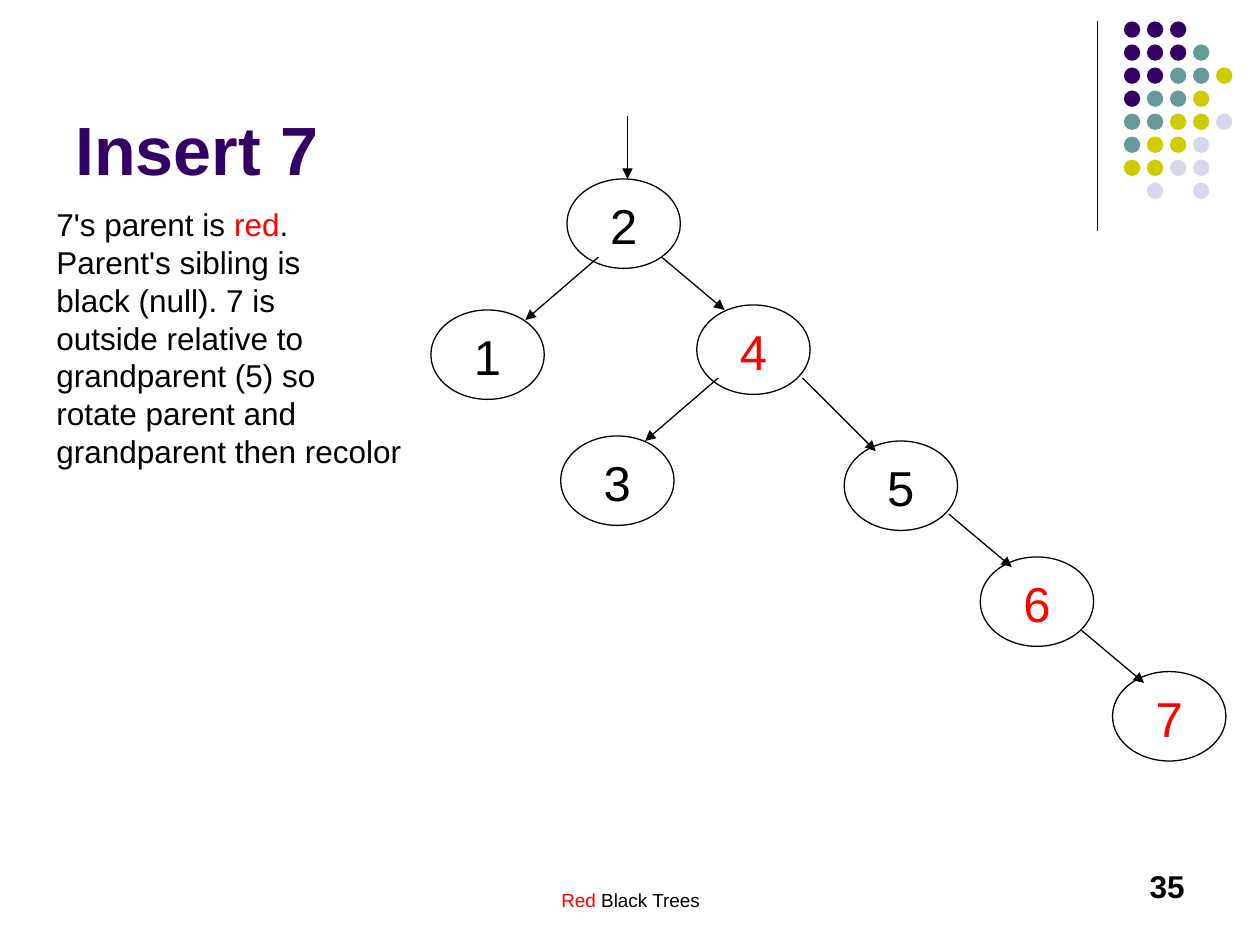
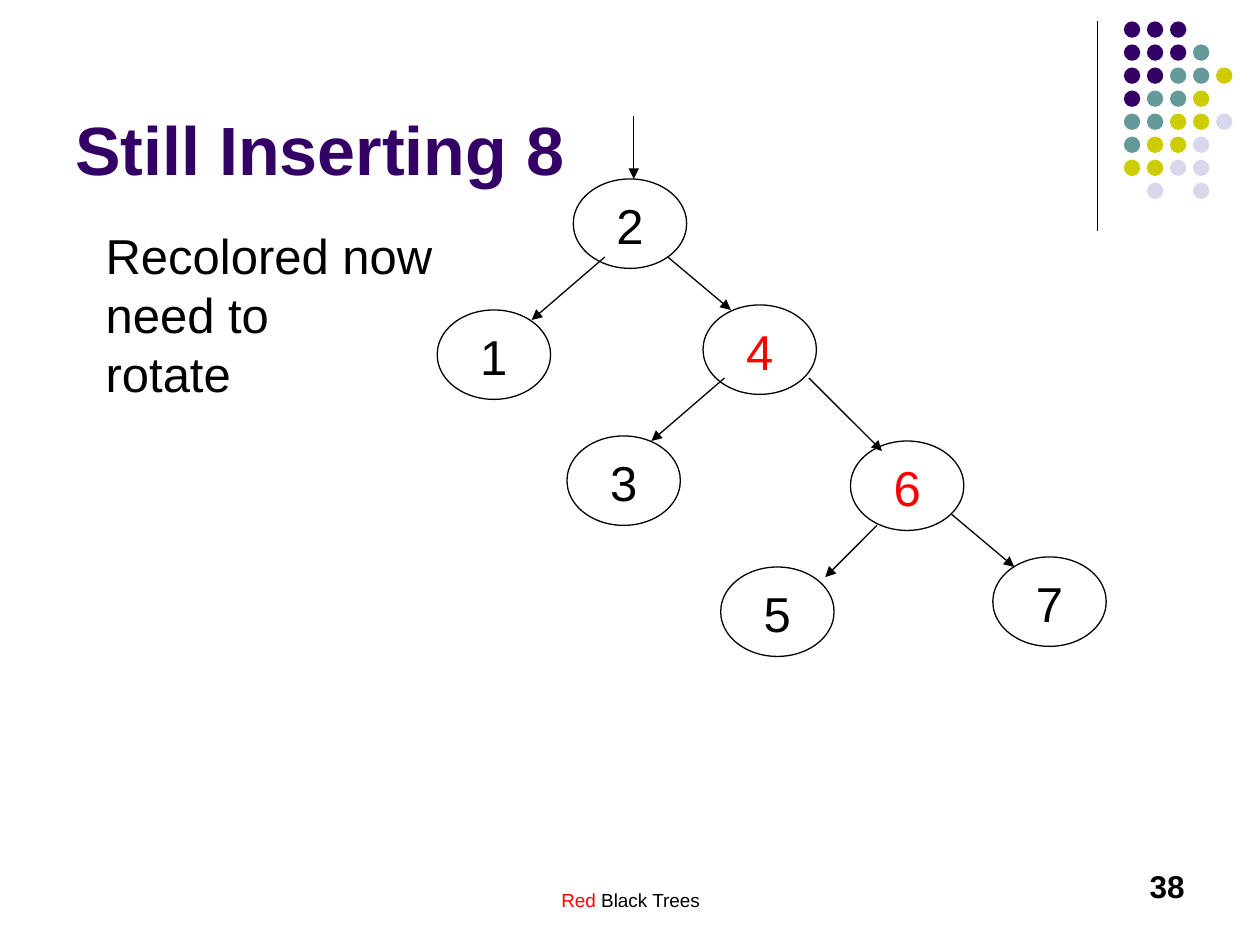
"""Builds two slides on insertion into a red-black tree."""
from pptx import Presentation
from pptx import util as u
from pptx.dml import color
from pptx.enum import shapes, text
from pptx.oxml import ns, xmlchemy

BLACK, RED, PLUM = "000000", "FF0000", "330066"
DOT_HUES = {"p": PLUM, "t": "669999", "y": "CCCC00", "l": "D8D8EC"}
DOT_ROWS = ["ppp", "pppt", "pptty", "ptty", "ttyyl", "tyyl", "yyll", " l l"]
DOT_STEP = 1.28 / 7
LEFT, MID, RIGHT = text.PP_ALIGN.LEFT, text.PP_ALIGN.CENTER, text.PP_ALIGN.RIGHT
INSETS = {"margin_left": 0.1, "margin_right": 0.1, "margin_top": 0.05, "margin_bottom": 0.05}

ROOT = (4.98, 0.92, 4.98, 1.42)
TOP_NODES = [("2", 4.5, 1.42, BLACK), ("1", 3.42, 2.46, BLACK),
             ("4", 5.53, 2.42, RED), ("3", 4.45, 3.46, BLACK)]
TOP_LINKS = [ROOT, (5.25, 2.04, 5.75, 2.46), (4.75, 2.04, 4.17, 2.54),
             (6.37, 3, 6.95, 3.58), (5.7, 3, 5.12, 3.5)]


def rgb(hue):
    """Return the colour for a hex string."""
    return color.RGBColor.from_string(hue)


def apply(item, vals):
    """Set each named value on an item."""
    for name, val in vals.items():
        setattr(item, name, val)


def box(*nums):
    """Turn numbers into lengths in inches."""
    return [u.Inches(num) for num in nums]


def fill_text(frame, runs, size, bold=False, align=LEFT):
    """Write coloured runs into one paragraph, with line breaks."""
    para = frame.paragraphs[0]
    para.alignment = align
    for words, hue in runs:
        for row, line in enumerate(words.splitlines()):
            if row:
                para.add_line_break()
            if line:
                run = para.add_run()
                run.text = line
                apply(run.font, {"size": u.Pt(size), "name": "Arial", "bold": bold})
                run.font.color.rgb = rgb(hue)


def add_text(slide, place, runs, size, bold=False, align=LEFT, **vals):
    """Add a text box with the given frame values."""
    frame = slide.shapes.add_textbox(*box(*place)).text_frame
    apply(frame, {name: u.Inches(val) for name, val in INSETS.items()})
    apply(frame, {"word_wrap": True, **vals})
    fill_text(frame, runs, size, bold, align)


def add_oval(parent, place):
    """Add a plain ellipse without a shadow."""
    oval = parent.add_shape(shapes.MSO_SHAPE.OVAL, *box(*place))
    oval.shadow.inherit = False
    return oval


def add_line(slide, ends, arrow=True):
    """Add a thin black line, with an arrowhead at its end if wanted."""
    line = slide.shapes.add_connector(shapes.MSO_CONNECTOR.STRAIGHT, *box(*ends))
    line.line.width = u.Pt(0.75)
    line.line.color.rgb = rgb(BLACK)
    props = line.element.spPr
    if arrow:
        head = xmlchemy.OxmlElement("a:tailEnd")
        head.set("type", "triangle")
        props.find(ns.qn("a:ln")).append(head)
    props.append(xmlchemy.OxmlElement("a:effectLst"))


def add_node(slide, key, left, top, hue):
    """Add a tree node with its key."""
    oval = add_oval(slide.shapes, (left, top, 0.9, 0.71))
    oval.fill.background()
    oval.line.width = u.Pt(0.75)
    oval.line.color.rgb = rgb(BLACK)
    frame = oval.text_frame
    apply(frame, {name: 0 for name in INSETS})
    apply(frame, {"word_wrap": False, "margin_top": u.Inches(0.02),
                  "vertical_anchor": text.MSO_ANCHOR.MIDDLE})
    fill_text(frame, [(key, hue)], 28, align=MID)


def add_dots(slide):
    """Add the grid of dots in the top right corner."""
    group = slide.shapes.add_group_shape().shapes
    for row, codes in enumerate(DOT_ROWS):
        for col, code in enumerate(codes):
            if code in DOT_HUES:
                place = (8.92 + col * DOT_STEP, 0.17 + row * DOT_STEP, 0.13, 0.13)
                dot = add_oval(group, place)
                dot.fill.solid()
                dot.fill.fore_color.rgb = rgb(DOT_HUES[code])
                dot.line.fill.background()


def add_page(deck, title, number):
    """Add a slide with the shared decoration, footer and title."""
    slide = deck.slides.add_slide(deck.slide_layouts[6])
    add_line(slide, (8.71, 0.17, 8.71, 1.83), arrow=False)
    add_dots(slide)
    add_text(slide, (3.42, 6.83, 3.17, 0.5), [("Red", RED), (" Black Trees", BLACK)],
             10.8, align=MID, margin_top=u.Inches(0.22))
    add_text(slide, (7.17, 6.83, 2.33, 0.5), [(number, BLACK)], 18, True, RIGHT)
    add_text(slide, (0.5, 0.13, 8.25, 1.42), [(title, PLUM)], 39, True,
             vertical_anchor=text.MSO_ANCHOR.BOTTOM)
    return slide


def add_tree(slide, nodes, links, shift=0):
    """Add the shared top of the tree and its lower part, moved right by shift."""
    for key, left, top, hue in TOP_NODES + nodes:
        add_node(slide, key, left + shift, top, hue)
    for x1, y1, x2, y2 in TOP_LINKS + links:
        add_line(slide, (x1 + shift, y1, x2 + shift, y2))


def main():
    """Build and save the deck."""
    deck = Presentation()
    apply(deck, {"slide_width": u.Inches(10), "slide_height": u.Inches(7.5)})

    slide = add_page(deck, "Insert 7", "35")
    add_tree(slide,
             [("5", 6.7, 3.5, BLACK), ("6", 7.78, 4.42, RED), ("7", 8.83, 5.33, RED)],
             [(7.53, 4.08, 8.03, 4.5), (8.58, 5, 9.08, 5.42)])
    rest = (".\nParent's sibling is\nblack (null). 7 is\noutside relative to\n"
            "grandparent (5) so\nrotate parent and\ngrandparent then recolor")
    add_text(slide, (0.35, 1.58, 2.94, 2.2),
             [("7's parent is ", BLACK), ("red", RED), (rest, BLACK)], 18, word_wrap=False)

    slide = add_page(deck, "Still Inserting 8", "38")
    add_tree(slide,
             [("6", 6.7, 3.5, RED), ("5", 5.67, 4.5, BLACK), ("7", 7.83, 4.42, BLACK)],
             [(6.91, 4.17, 6.5, 4.58), (7.5, 4.08, 8, 4.5)], 0.05)
    add_text(slide, (0.74, 1.74, 2.79, 1.5),
             [("Recolored now\nneed to\nrotate", BLACK)], 28, word_wrap=False)

    deck.save("out.pptx")


if __name__ == "__main__":
    main()
